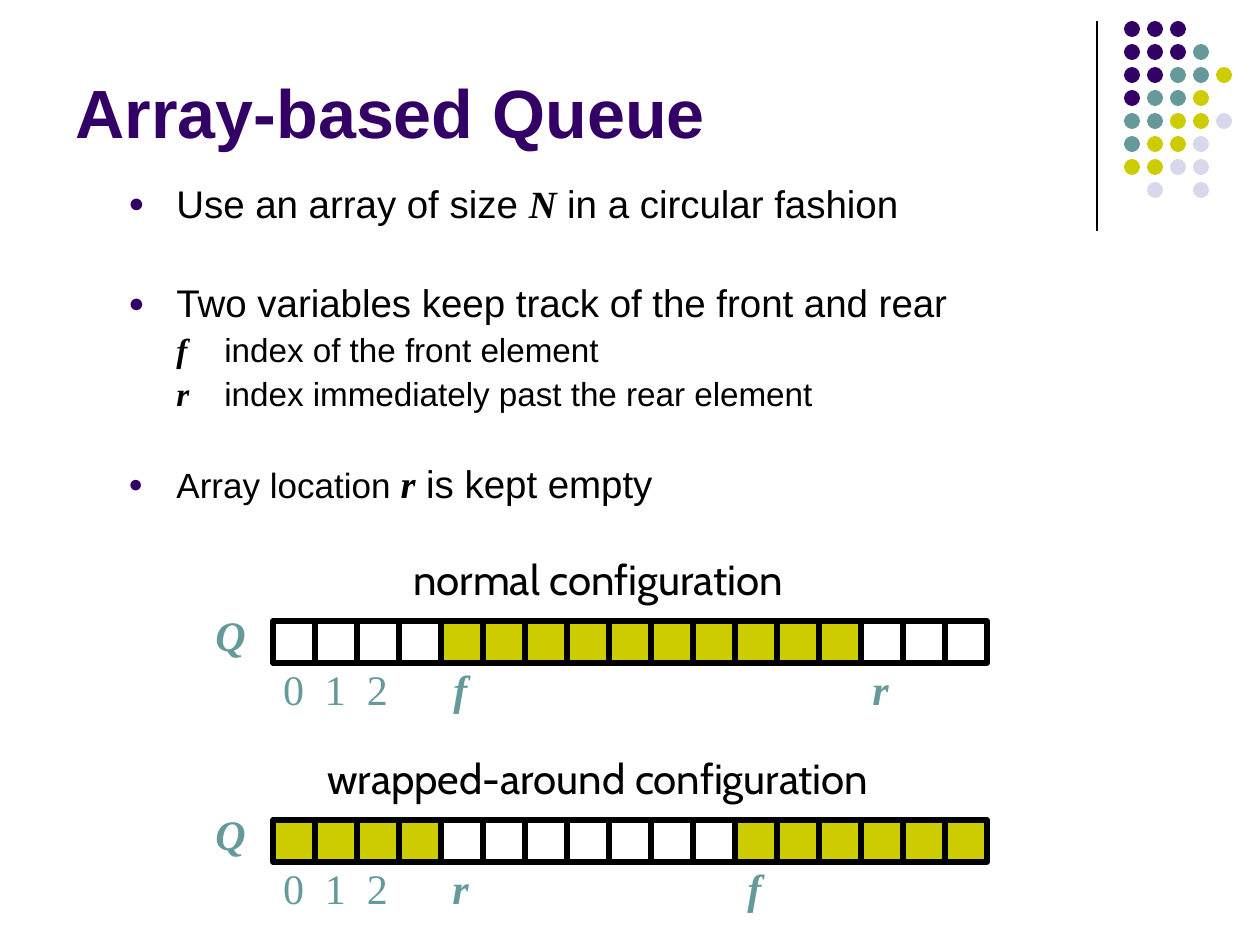
import pptx
import pptx.util
import pptx.dml.color
import pptx.enum.shapes
import pptx.enum.text
import pptx.oxml.ns
from lxml import etree

THEME = {
    "purple": "330066", "teal": "669999", "lime": "CCCC00", "pale": "D8D8EC",
    "black": "000000", "white": "FFFFFF",
    "sans": "Arial", "serif": "Times New Roman", "caption": "Cabin",
    "title": 39, "body": 22, "detail": 19, "closing": 20, "label": 24,
    "rule": 0.75, "cell_line": 3,
}

TITLE = "Array-based Queue"
BULLETS = [
    {"level": 0, "before": 0, "spans": [
        ("Use an array of size ", "body", False), ("N", "body", True),
        (" in a circular fashion", "body", False)]},
    {"level": 0, "before": 33, "spans": [
        ("Two variables keep track of the front and rear", "body", False)]},
    {"level": 1, "before": 4.4, "spans": [
        ("f", "detail", True), (" \tindex of the front element", "detail", False)]},
    {"level": 1, "before": 4.4, "spans": [
        ("r", "detail", True), ("\tindex immediately past the rear element", "detail", False)]},
    {"level": 0, "before": 30, "spans": [
        ("Array location ", "closing", False), ("r", "body", True),
        (" is kept empty", "body", False)]},
]
QUEUES = [
    {"caption": "normal configuration", "caption_width": 408, "top": 621,
     "cells": "....##########...", "marks": {"r": 14, "f": 4}},
    {"caption": "wrapped-around configuration", "caption_width": 586, "top": 820,
     "cells": "####.......######", "marks": {"f": 11, "r": 4}},
]
DOT_ROWS = ["PPP", "PPPT", "PPTTL", "PTTL", "TTLLG", "TLLG", "LLGG", " G G"]
DOT_COLOURS = {"P": "purple", "T": "teal", "L": "lime", "G": "pale"}

SCALE = 914400 // 126
DOT_LEFT, DOT_TOP, DOT_PITCH, DOT_SIZE = 1124, 21, 23, 16
CELL_LEFT, CELL_SIZE = 273, 42
CAPTION_CENTRE = 598
INDENT = 48

ALIGN = pptx.enum.text.PP_ALIGN
ANCHOR = pptx.enum.text.MSO_ANCHOR
SHAPE = pptx.enum.shapes.MSO_SHAPE


def px(*lengths):
    return [pptx.util.Emu(length * SCALE) for length in lengths]


def colour(name):
    return pptx.dml.color.RGBColor.from_string(THEME[name])


def style(span, size, font, ink, bold=False, italic=False):
    span.font.size = pptx.util.Pt(THEME[size])
    span.font.name = THEME[font]
    span.font.color.rgb = colour(ink)
    span.font.bold = bold
    span.font.italic = italic


def add_box(shapes, place, wrap=True, inset=True):
    box = shapes.add_textbox(*px(*place))
    frame = box.text_frame
    frame.word_wrap = wrap
    if not inset:
        frame.margin_left = frame.margin_right = 0
        frame.margin_top = frame.margin_bottom = 0
    return frame


def add_label(shapes, text, place, symbol):
    frame = add_box(shapes, place, wrap=symbol, inset=False)
    frame.text = text
    para = frame.paragraphs[0]
    para.alignment = ALIGN.CENTER if symbol else ALIGN.LEFT
    style(para.runs[0], "label", "serif", "teal", symbol, symbol)


def add_filled(shapes, kind, place, fill, outlined=False):
    shape = shapes.add_shape(kind, *px(*place))
    shape.shadow.inherit = False
    shape.fill.solid()
    shape.fill.fore_color.rgb = colour(fill)
    if outlined:
        shape.line.color.rgb = colour("black")
        shape.line.width = pptx.util.Pt(THEME["cell_line"])
    else:
        shape.line.fill.background()


def set_bullet(para, level):
    props = para._p.get_or_add_pPr()
    props.set("marL", str(INDENT * SCALE * (level + 1)))
    props.set("indent", str(-INDENT * SCALE))

    def add(parent, tag, **values):
        return etree.SubElement(parent, pptx.oxml.ns.qn(tag), **values)

    if level:
        add(props, "a:buNone")
        return
    add(add(props, "a:buClr"), "a:srgbClr", val=THEME["purple"])
    add(props, "a:buSzPct", val="70000")
    add(props, "a:buFont", typeface=THEME["sans"])
    add(props, "a:buChar", char="\u25cf")


def draw_ornament(page):
    rule = page.shapes.add_connector(
        pptx.enum.shapes.MSO_CONNECTOR.STRAIGHT, *px(1097, 21, 1097, 231))
    rule.line.color.rgb = colour("black")
    rule.line.width = pptx.util.Pt(THEME["rule"])
    etree.SubElement(rule._element.spPr, pptx.oxml.ns.qn("a:effectLst"))
    dots = page.shapes.add_group_shape().shapes
    for row, codes in enumerate(DOT_ROWS):
        for column, code in enumerate(codes):
            if code in DOT_COLOURS:
                place = (DOT_LEFT + column * DOT_PITCH, DOT_TOP + row * DOT_PITCH,
                         DOT_SIZE, DOT_SIZE)
                add_filled(dots, SHAPE.OVAL, place, DOT_COLOURS[code])


def draw_text(page):
    frame = add_box(page.shapes, (63, -21, 1040, 179))
    frame.vertical_anchor = ANCHOR.BOTTOM
    frame.text = TITLE
    style(frame.paragraphs[0].runs[0], "title", "sans", "purple", bold=True)

    frame = add_box(page.shapes, (116, 179, 1029, 357))
    for number, bullet in enumerate(BULLETS):
        para = frame.add_paragraph() if number else frame.paragraphs[0]
        para.level = bullet["level"]
        para.line_spacing = 0.9
        para.space_before = pptx.util.Pt(bullet["before"])
        set_bullet(para, bullet["level"])
        for text, size, symbol in bullet["spans"]:
            span = para.add_run()
            span.text = text
            style(span, size, "serif" if symbol else "sans", "black", symbol, symbol)


def draw_queue(page, queue):
    top = queue["top"]
    label_top = top + CELL_SIZE + 1
    parts = page.shapes.add_group_shape().shapes
    add_label(parts, "Q", (210, top - 11, 41, 50), True)
    for index in range(3):
        add_label(parts, str(index),
                  (CELL_LEFT + 10 + index * CELL_SIZE, label_top, 21, 50), False)
    for mark, index in queue["marks"].items():
        add_label(parts, mark, (CELL_LEFT + index * CELL_SIZE, label_top, 39, 50), True)
    for index, cell in enumerate(queue["cells"]):
        place = (CELL_LEFT + index * CELL_SIZE, top, CELL_SIZE, CELL_SIZE)
        add_filled(parts, SHAPE.RECTANGLE, place,
                   "lime" if cell == "#" else "white", outlined=True)

    width = queue["caption_width"]
    frame = add_box(page.shapes,
                    (CAPTION_CENTRE - width // 2, top - 74, width, 63), wrap=False)
    frame.text = queue["caption"]
    frame.paragraphs[0].alignment = ALIGN.CENTER
    style(frame.paragraphs[0].runs[0], "label", "caption", "black")


deck = pptx.Presentation()
deck.slide_width, deck.slide_height = px(1260, 945)
page = deck.slides.add_slide(deck.slide_layouts[6])
draw_ornament(page)
draw_text(page)
for queue in QUEUES:
    draw_queue(page, queue)
deck.save("out.pptx")
